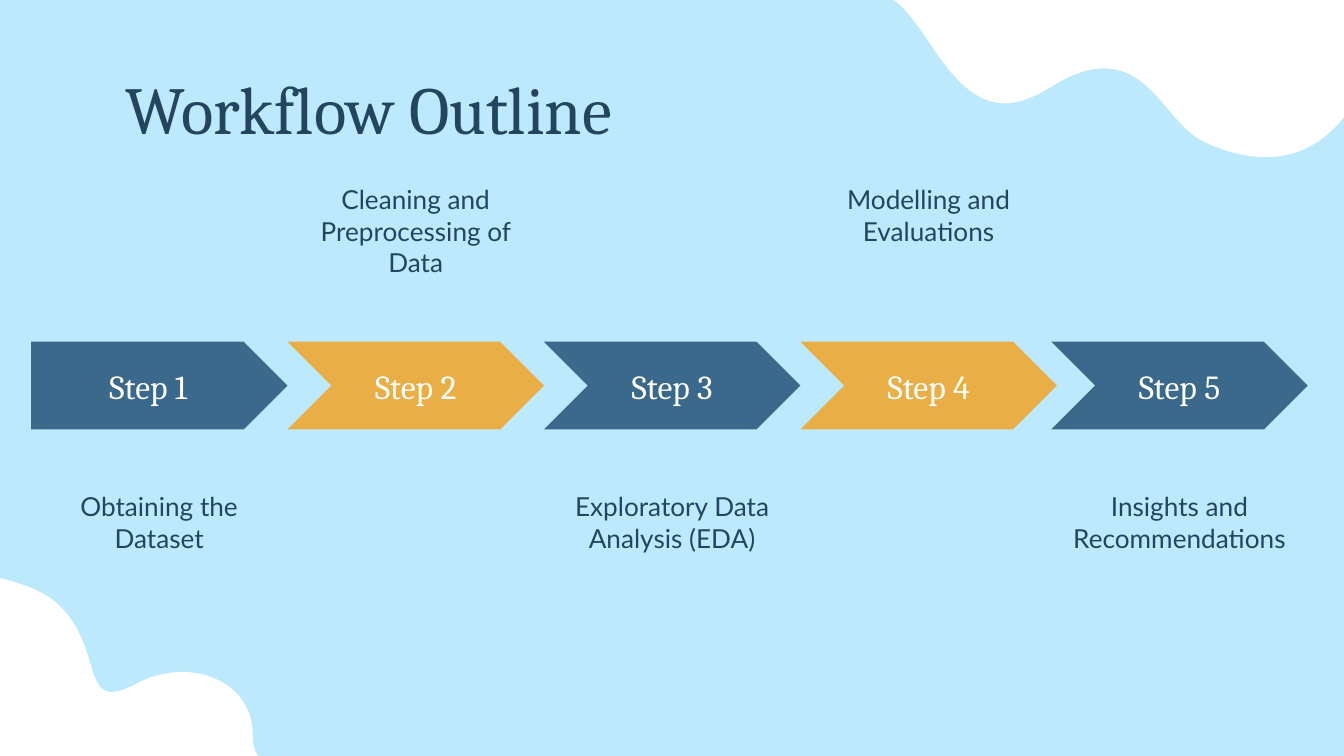
from lxml import etree
from pptx import Presentation
from pptx.dml.color import RGBColor
from pptx.enum import shapes, text
from pptx.oxml.ns import qn
from pptx.util import Pt

STEPS = [
    ("Step 1", "Obtaining the Dataset"),
    ("Step 2", "Cleaning and Preprocessing of Data"),
    ("Step 3", "Exploratory Data Analysis (EDA)"),
    ("Step 4", "Modelling and Evaluations"),
    ("Step 5", "Insights and Recommendations"),
]

# Each wave: a start point, then segments of one point (line) or three (curve).
WAVES = [
    ((678.2, 84.2), [
        [(734.4, 84.2), (744.5, 0), (744.5, 0)],
        [(478.1, 0)],
        [(478.8, 0), (483.8, 1.4), (499, 24.5)],
        [(511.9, 43.9), (523.4, 55.4), (538.6, 55.4)],
        [(545, 55.4), (553, 52.6), (561.6, 47.5)],
        [(573.8, 39.6), (583.2, 36.7), (591.8, 36.7)],
        [(617.8, 36.7), (626.4, 67.7), (645.8, 76.3)],
        [(658.1, 82.1), (668.9, 84.2), (678.2, 84.2)],
    ]),
    ((-47.5, 305.3), [
        [(-69.8, 305.3), (-87.8, 307.4), (-87.8, 307.4)],
        [(-33.8, 428.4)],
        [(163.4, 428.4)],
        [(172.8, 428.4), (174.2, 415.4), (165.6, 412.6)],
        [(150.5, 409), (135.4, 414), (135.4, 393.8)],
        [(135.4, 372.2), (117.4, 360), (97.2, 360)],
        [(89.3, 360), (80.6, 362.2), (72.7, 366.5)],
        [(67, 369.4), (62.6, 370.8), (59.8, 370.8)],
        [(45.4, 370.8), (52.6, 341.3), (28.8, 321.8)],
        [(10.8, 308.2), (-21.6, 305.3), (-47.5, 305.3)],
    ]),
]

THEME = {
    "sky": RGBColor.from_string("BDE9FC"),
    "wave": RGBColor.from_string("FFFFFF"),
    "steps": [RGBColor.from_string(c) for c in ("3B698C", "E9AF46")],
    "title": {"name": "Cambria", "size": Pt(36), "color": "23455E"},
    "step": {"name": "Cambria", "size": Pt(18), "color": "FFFFFF"},
    "caption": {"name": "Lato", "size": Pt(14), "color": "23455E"},
}

COMPARISON_LAYOUT = 4  # a title and four body placeholders
STEP_LEFT, STEP_TOP, STEP_W, STEP_H = 16.6, 183.1, 137.4, 47
LAST_LEFT = 563.2
CAPTION_TOPS = (255.6, 91.2)  # below the odd steps, above the even ones
CAPTION_W, CAPTION_H = 131.8, 65.5
INSET = 7.2


def points(*values):
    return [Pt(v) for v in values]


def place(sp, *box):
    sp.left, sp.top, sp.width, sp.height = points(*box)


def write(sp, content, style, align, anchor, **spacing):
    tf = sp.text_frame
    frame = {"word_wrap": True, "auto_size": text.MSO_AUTO_SIZE.NONE,
             "vertical_anchor": anchor}
    frame.update({f"margin_{side}": Pt(INSET)
                  for side in ("left", "right", "top", "bottom")})
    for name, value in frame.items():
        setattr(tf, name, value)
    p = tf.paragraphs[0]
    for name, value in {"alignment": align, **spacing}.items():
        setattr(p, name, value)
    r = p.add_run()
    r.text = content
    r.font.name, r.font.size, r.font.bold = style["name"], style["size"], False
    r.font.color.rgb = RGBColor.from_string(style["color"])
    return p


def drop_bullet(p):
    props = p._p.get_or_add_pPr()
    props.set("marL", "0")
    props.set("indent", "0")
    etree.SubElement(props, qn("a:buNone"))


def paint(sp, color):
    sp.shadow.inherit = False
    sp.fill.solid()
    sp.fill.fore_color.rgb = color
    sp.line.fill.background()


def add_wave(s, start, segments):
    """Outline the end points with lines, then bend the curved segments."""
    outline = s.shapes.build_freeform(*points(*start), scale=1.0)
    outline.add_line_segments([points(*seg[-1]) for seg in segments], close=True)
    sp = outline.convert_to_shape()
    paint(sp, THEME["wave"])
    lines = list(sp._element.iter(qn("a:lnTo")))
    for line, segment in zip(lines, segments):
        if len(segment) == 3:
            curve = etree.Element(qn("a:cubicBezTo"))
            for x, y in segment:
                etree.SubElement(curve, qn("a:pt"), x=str(Pt(x) - sp.left),
                                 y=str(Pt(y) - sp.top))
            line.getparent().replace(line, curve)


def add_step(s, i, label, caption, holders):
    last = i == len(STEPS) - 1
    left = LAST_LEFT if last else STEP_LEFT + i * STEP_W
    kind = shapes.MSO_SHAPE.CHEVRON if i else shapes.MSO_SHAPE.PENTAGON
    sp = s.shapes.add_shape(kind, *points(left, STEP_TOP, STEP_W, STEP_H))
    paint(sp, THEME["steps"][i % 2])
    write(sp, label, THEME["step"], text.PP_ALIGN.CENTER, text.MSO_ANCHOR.MIDDLE)

    width = STEP_W if last else CAPTION_W
    box = s.shapes.add_textbox(0, 0, 0, 0) if last else holders[i]
    place(box, left + (STEP_W - width) / 2, CAPTION_TOPS[i % 2], width, CAPTION_H)
    p = write(box, caption, THEME["caption"], text.PP_ALIGN.CENTER,
              text.MSO_ANCHOR.TOP, space_before=Pt(0), space_after=Pt(16))
    drop_bullet(p)


def main():
    prs = Presentation()
    prs.slide_width, prs.slide_height = points(720, 405)
    s = prs.slides.add_slide(prs.slide_layouts[COMPARISON_LAYOUT])
    s.background.fill.solid()
    s.background.fill.fore_color.rgb = THEME["sky"]

    for start, segments in WAVES:
        add_wave(s, start, segments)

    title, *holders = s.placeholders
    place(title, 60, 37.4, 334, 108)
    write(title, "Workflow Outline", THEME["title"], text.PP_ALIGN.LEFT,
          text.MSO_ANCHOR.TOP, line_spacing=0.8)

    for i, (label, caption) in enumerate(STEPS):
        add_step(s, i, label, caption, holders)

    prs.save("out.pptx")


if __name__ == "__main__":
    main()
